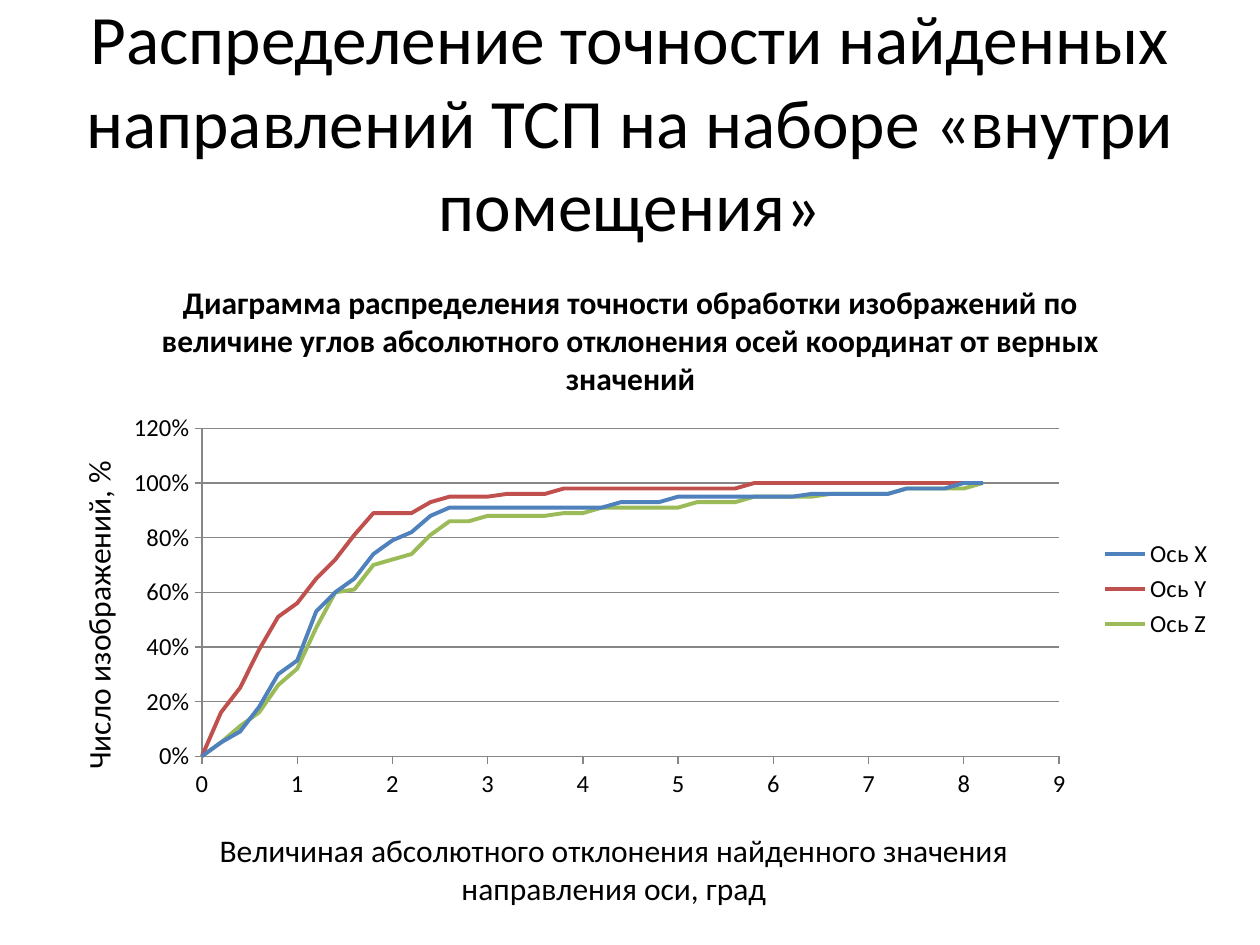
import pptx
import pptx.chart.data
import pptx.dml.color
import pptx.enum.chart
import pptx.enum.text
import pptx.oxml
import pptx.oxml.ns
import pptx.util
from pptx.util import Inches

RGBColor = pptx.dml.color.RGBColor
BLACK = RGBColor(0x00, 0x00, 0x00)
GRAY = RGBColor(0x86, 0x86, 0x86)
FONT = "Calibri"

STEP = 0.2  # degrees between neighbouring points
AXES = [
    ("Ось X", RGBColor(0x4F, 0x81, 0xBD),
     [0, 5, 9, 18, 30, 35, 53, 60, 65, 74, 79, 82, 88] + [91] * 9
     + [93] * 3 + [95] * 7 + [96] * 5 + [98] * 3 + [100] * 2),
    ("Ось Y", RGBColor(0xC0, 0x50, 0x4D),
     [0, 16, 25, 39, 51, 56, 65, 72, 81] + [89] * 3 + [93]
     + [95] * 3 + [96] * 3 + [98] * 10 + [100] * 13),
    ("Ось Z", RGBColor(0x9B, 0xBB, 0x59),
     [0, 5, 11, 16, 26, 32, 47, 60, 61, 70, 72, 74, 81] + [86] * 2
     + [88] * 4 + [89] * 2 + [91] * 5 + [93] * 3 + [95] * 4
     + [96] * 4 + [98] * 4 + [100]),
]


def style_font(font, size, bold=False):
    font.name = FONT
    font.size = pptx.util.Pt(size)
    font.bold = bold
    font.color.rgb = BLACK


def add_heading(slide, text):
    box = slide.shapes.add_textbox(Inches(0.5), Inches(0.13), Inches(9), Inches(1.65))
    frame = box.text_frame
    frame.word_wrap = True
    frame.vertical_anchor = pptx.enum.text.MSO_ANCHOR.MIDDLE
    frame.text = text
    paragraph = frame.paragraphs[0]
    paragraph.alignment = pptx.enum.text.PP_ALIGN.CENTER
    style_font(paragraph.runs[0].font, 39.6)


def set_layout(element, after, x, y, size=None):
    """Place a chart part by fractions of the chart; the layout follows the tag `after`."""
    for old in element.findall(pptx.oxml.ns.qn("c:layout")):
        element.remove(old)
    values = [("xMode", "edge"), ("yMode", "edge"), ("x", x), ("y", y)]
    if size:
        values.insert(0, ("layoutTarget", "inner"))
        values += [("w", size[0]), ("h", size[1])]
    parts = "".join(f'<c:{tag} val="{value}"/>' for tag, value in values)
    layout = pptx.oxml.parse_xml(
        f'<c:layout {pptx.oxml.ns.nsdecls("c")}><c:manualLayout>{parts}'
        "</c:manualLayout></c:layout>")
    previous = element.find(pptx.oxml.ns.qn(after)) if after else None
    element.insert(0 if previous is None else element.index(previous) + 1, layout)


def set_title(title, text, bold=False):
    title.text_frame.text = text
    style_font(title.text_frame.paragraphs[0].runs[0].font, 18, bold)


def style_axis(axis, title, maximum, step, number_format, title_x, title_y):
    axis.minimum_scale = 0
    axis.maximum_scale = maximum
    axis.major_unit = step
    axis.major_tick_mark = pptx.enum.chart.XL_TICK_MARK.OUTSIDE
    axis.minor_tick_mark = pptx.enum.chart.XL_TICK_MARK.NONE
    axis.tick_labels.number_format = number_format
    axis.tick_labels.number_format_is_linked = False
    style_font(axis.tick_labels.font, 14)
    axis.format.line.color.rgb = GRAY
    set_title(axis.axis_title, title)
    set_layout(axis.axis_title._element, "c:tx", title_x, title_y)


def add_accuracy_chart(slide):
    data = pptx.chart.data.XyChartData()
    for name, _, percents in AXES:
        series = data.add_series(name)
        for index, percent in enumerate(percents):
            series.add_data_point(round(index * STEP, 1), percent / 100)
    chart = slide.shapes.add_chart(
        pptx.enum.chart.XL_CHART_TYPE.XY_SCATTER_LINES_NO_MARKERS,
        Inches(0.28), Inches(2.02), Inches(9.45), Inches(5.31), data).chart
    style_font(chart.font, 10)
    chart.plots[0].vary_by_categories = False
    for series, (_, color, _) in zip(chart.plots[0].series, AXES):
        series.smooth = False
        series.marker.style = pptx.enum.chart.XL_MARKER_STYLE.NONE
        series.format.line.color.rgb = color
        series.format.line.width = pptx.util.Pt(2.25)

    chart.has_title = True
    set_title(chart.chart_title,
              "Диаграмма распределения точности обработки изображений по величине углов "
              "абсолютного отклонения осей координат от верных значений", bold=True)
    chart.has_legend = True
    chart.legend.position = pptx.enum.chart.XL_LEGEND_POSITION.RIGHT
    chart.legend.include_in_layout = False
    style_font(chart.legend.font, 14)

    deviation, share = chart.category_axis, chart.value_axis
    style_axis(deviation,
               "Величиная абсолютного отклонения найденного значения направления оси, град",
               9, 1, "General", 0.15, 0.85)
    style_axis(share, "Число изображений, %", 1.2, 0.2, "0%", 0.03, 0.3)
    share.axis_title.text_frame._txBody.bodyPr.set("rot", "-5400000")
    deviation.has_major_gridlines = False
    share.has_major_gridlines = True
    share.major_gridlines.format.line.color.rgb = GRAY
    plot_area = chart._chartSpace.chart.plotArea
    set_layout(plot_area, None, 0.14, 0.26, (0.72, 0.49))


def main():
    presentation = pptx.Presentation()
    presentation.slide_width = Inches(10)
    presentation.slide_height = Inches(7.5)
    slide = presentation.slides.add_slide(presentation.slide_layouts[6])
    add_heading(slide, "Распределение точности найденных направлений ТСП "
                       "на наборе «внутри помещения»")
    add_accuracy_chart(slide)
    presentation.save("out.pptx")


if __name__ == "__main__":
    main()
